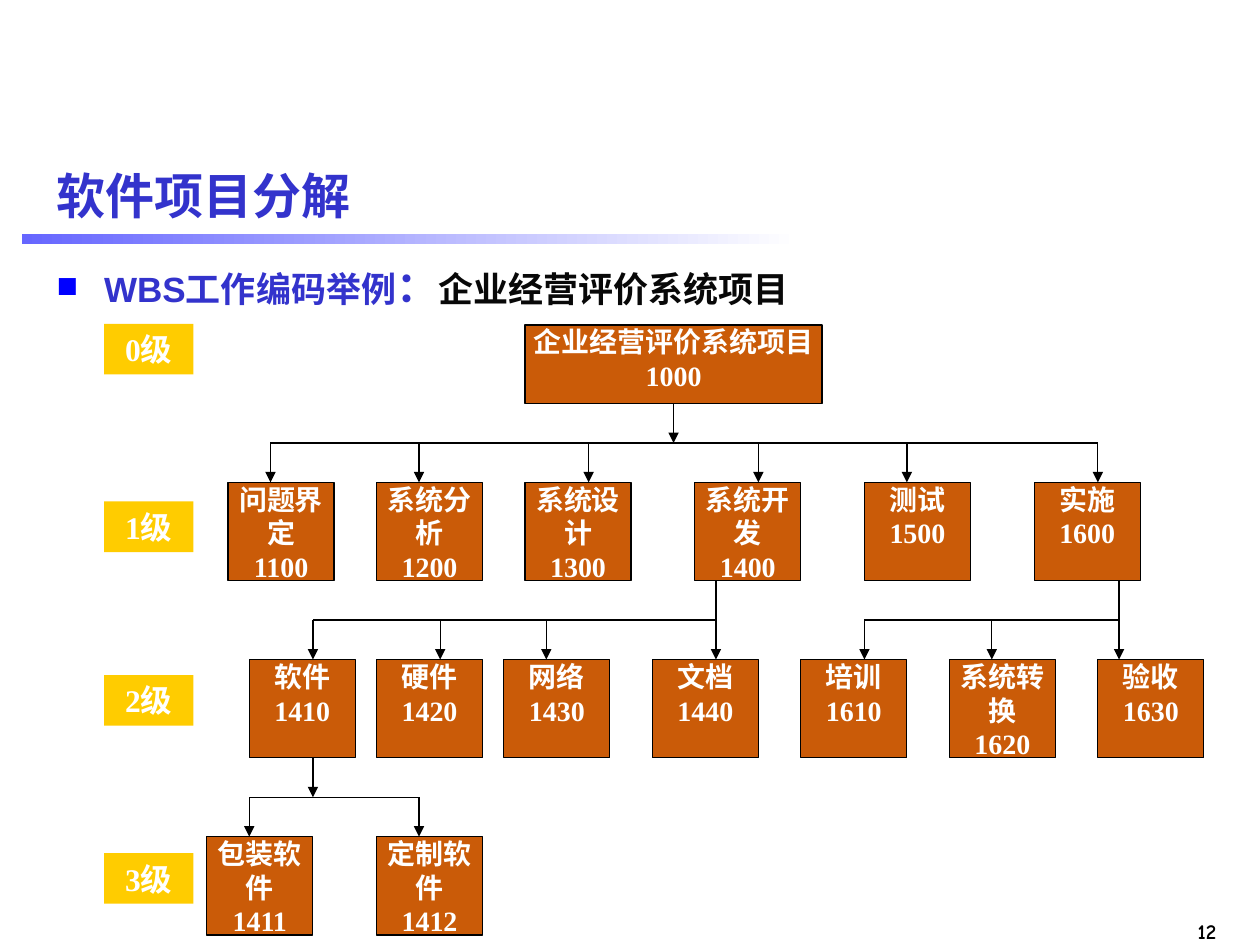
from lxml import etree
from pptx import Presentation
from pptx import util as u
from pptx.dml.color import RGBColor
from pptx.enum import shapes, text
from pptx.oxml.ns import qn

BLUE = RGBColor(0x33, 0x33, 0xCC)
BULLET_BLUE = RGBColor(0x00, 0x00, 0xFF)
RULE_BLUE = RGBColor(0x66, 0x66, 0xFF)
INK = RGBColor(0x08, 0x08, 0x08)
BLACK = RGBColor(0x00, 0x00, 0x00)
WHITE = RGBColor(0xFF, 0xFF, 0xFF)
ORANGE = RGBColor(0xCA, 0x5B, 0x08)
YELLOW = RGBColor(0xFF, 0xCC, 0x00)

TITLE_FONT = {"name": "Arial", "size": u.Pt(28), "bold": True}
BODY_FONT = {"name": "Arial", "size": u.Pt(20), "bold": True}
COLON_FONT = {"name": "Arial", "size": u.Pt(24), "bold": True}
NODE_FONT = {"name": "Times New Roman", "size": u.Pt(16), "bold": True}
LEVEL_FONT = {"name": "Times New Roman", "size": u.Pt(18), "bold": True}
NUMBER_FONT = {"name": "Comic Neue", "size": u.Pt(12), "bold": True}
NO_MARGINS = dict.fromkeys(
    ("margin_left", "margin_top", "margin_right", "margin_bottom"), 0)

# The tree lies on a grid; box heights and rows are counted in grid units
GRID_COLUMNS, GRID_ROWS = 47, 15.5
NODE_COLUMNS, NODE_ROWS = 5, 2.5
ROOT = (15, 0, 14, 2, "企业经营评价系统项目", "1000")
LEVELS = [  # row, then (column, name, code) of each node
    (4, [(1, "问题界定", "1100"), (8, "系统分析", "1200"), (15, "系统设计", "1300"),
         (23, "系统开发", "1400"), (31, "测试", "1500"), (39, "实施", "1600")]),
    (8.5, [(2, "软件", "1410"), (8, "硬件", "1420"), (14, "网络", "1430"),
           (21, "文档", "1440"), (28, "培训", "1610"), (35, "系统转换", "1620"),
           (42, "验收", "1630")]),
    (13, [(0, "包装软件", "1411"), (8, "定制软件", "1412")]),
]
BRANCHES = [  # trunk column, parent's bottom row, columns of the arrows
    (22, 2, (3, 10, 18, 26, 33, 42)),
    (24, 6.5, (5, 11, 16, 24)),
    (43, 6.5, (31, 37, 43)),
    (5, 11, (2, 10)),
]


def apply(target, values):
    for name, value in values.items():
        setattr(target, name, value)


def add_run(paragraph, words, font_format, color):
    run = paragraph.add_run()
    run.text = words
    apply(run.font, font_format)
    run.font.color.rgb = color


def add_text_box(slide, box, frame_format):
    frame = slide.shapes.add_textbox(*map(u.Cm, box)).text_frame
    apply(frame, {"word_wrap": True, **frame_format})
    return frame.paragraphs[0]


def add_block(slide, box, fill, lines, font_format, frame_format):
    """Filled rectangle with centred white lines of text."""
    shape = slide.shapes.add_shape(shapes.MSO_SHAPE.RECTANGLE, *map(u.Cm, box))
    shape.shadow.inherit = False
    shape.fill.solid()
    shape.fill.fore_color.rgb = fill
    shape.line.fill.background()
    frame = shape.text_frame
    apply(frame, {"word_wrap": True, **frame_format})
    for index, line in enumerate(lines):
        paragraph = frame.add_paragraph() if index else frame.paragraphs[0]
        paragraph.alignment = text.PP_ALIGN.CENTER
        add_run(paragraph, line, font_format, WHITE)
    return shape


def add_line(slide, start, end, arrow=False):
    line = slide.shapes.add_connector(
        shapes.MSO_CONNECTOR.STRAIGHT, *map(u.Cm, (*start, *end)))
    line.line.color.rgb = BLACK
    line.line.width = u.Pt(0.75)
    if arrow:
        etree.SubElement(line.line._get_or_add_ln(), qn("a:tailEnd"), type="triangle")
    etree.SubElement(line._element.spPr, qn("a:effectLst"))
    return line


def add_heading(slide, left, top, width):
    # Title
    paragraph = add_text_box(slide, (left, top, width, 2),
                             {"vertical_anchor": text.MSO_ANCHOR.MIDDLE})
    add_run(paragraph, "软件项目分解", TITLE_FONT, BLUE)
    # Fading rule
    rule = slide.shapes.add_shape(
        shapes.MSO_SHAPE.RECTANGLE,
        *map(u.Cm, (left - 0.46, top + 1.8, 15.67, 0.21)))
    rule.shadow.inherit = False
    rule.line.fill.background()
    rule.fill.gradient()
    rule.fill.gradient_angle = 0
    for stop, position, color in zip(rule.fill.gradient_stops, (0, 1),
                                     (RULE_BLUE, WHITE)):
        stop.position = position
        stop.color.rgb = color


def add_body(slide, box):
    paragraph = add_text_box(slide, box, {})
    properties = paragraph._p.get_or_add_pPr()
    indent = u.Cm(0.95)
    properties.set("marL", str(indent))
    properties.set("indent", str(-indent))
    bullet_color = etree.SubElement(properties, qn("a:buClr"))
    etree.SubElement(bullet_color, qn("a:srgbClr"), val=str(BULLET_BLUE))
    etree.SubElement(properties, qn("a:buFont"), typeface="Arial")
    etree.SubElement(properties, qn("a:buChar"), char="■")
    add_run(paragraph, "WBS工作编码举例", BODY_FONT, BLUE)
    add_run(paragraph, "：", COLON_FONT, BLUE)
    add_run(paragraph, "企业经营评价系统项目", BODY_FONT, INK)


def add_levels(slide, left, tops):
    for level, top in enumerate(tops):
        add_block(slide, (left, top, 1.8, 1.02), YELLOW, [f"{level}级"], LEVEL_FONT,
                  {"vertical_anchor": text.MSO_ANCHOR.MIDDLE})


def add_tree(slide, left, top, width, height):
    column_width, row_height = width / GRID_COLUMNS, height / GRID_ROWS

    def point(column, row):
        return left + column * column_width, top + row * row_height

    def add_node(column, row, columns, rows, name, code):
        box = (*point(column, row), columns * column_width, rows * row_height)
        node = add_block(slide, box, ORANGE, [name, code], NODE_FONT,
                         {**NO_MARGINS, "vertical_anchor": text.MSO_ANCHOR.TOP})
        node.line.color.rgb = BLACK
        node.line.width = u.Pt(0.75)
        return node

    # Boxes
    root = add_node(*ROOT)
    for row, nodes in LEVELS:
        for column, name, code in nodes:
            add_node(column, row, NODE_COLUMNS, NODE_ROWS, name, code)

    # Branches: trunk, crossbar one row below, arrows one row further
    for trunk, row, columns in BRANCHES:
        bar = row + 1
        stem = add_line(slide, point(trunk, row), point(trunk, bar),
                        arrow=trunk not in columns)
        if row == ROOT[3]:
            stem.begin_connect(root, 2)
        add_line(slide, point(columns[0], bar), point(columns[-1], bar))
        for column in columns:
            add_line(slide, point(column, bar), point(column, bar + 1), arrow=True)


def add_slide_number(slide, box):
    paragraph = add_text_box(slide, box, {"word_wrap": False})
    paragraph.alignment = text.PP_ALIGN.RIGHT
    add_run(paragraph, "12", NUMBER_FONT, BLACK)


def main():
    presentation = Presentation()
    presentation.slide_width, presentation.slide_height = u.Cm(25.4), u.Cm(19.05)
    slide = presentation.slides.add_slide(presentation.slide_layouts[6])
    add_heading(slide, 0.9, 2.92, 24)
    add_body(slide, (0.9, 5.13, 24, 13.92))
    add_tree(slide, 4.17, 6.55, 20.1, 12.3)
    add_levels(slide, 2.1, (6.53, 10.11, 13.61, 17.2))
    add_slide_number(slide, (23.37, 18.39, 1.4, 0.76))
    presentation.save("out.pptx")


if __name__ == "__main__":
    main()
